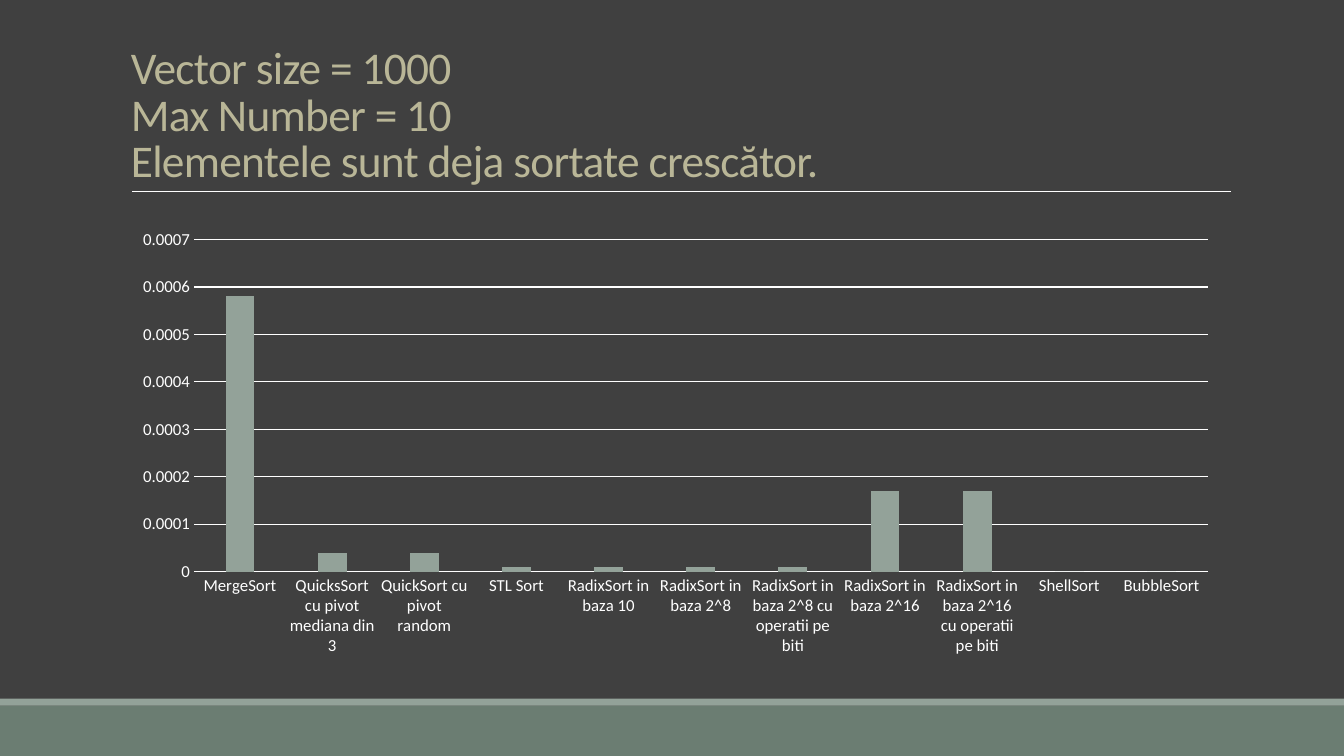
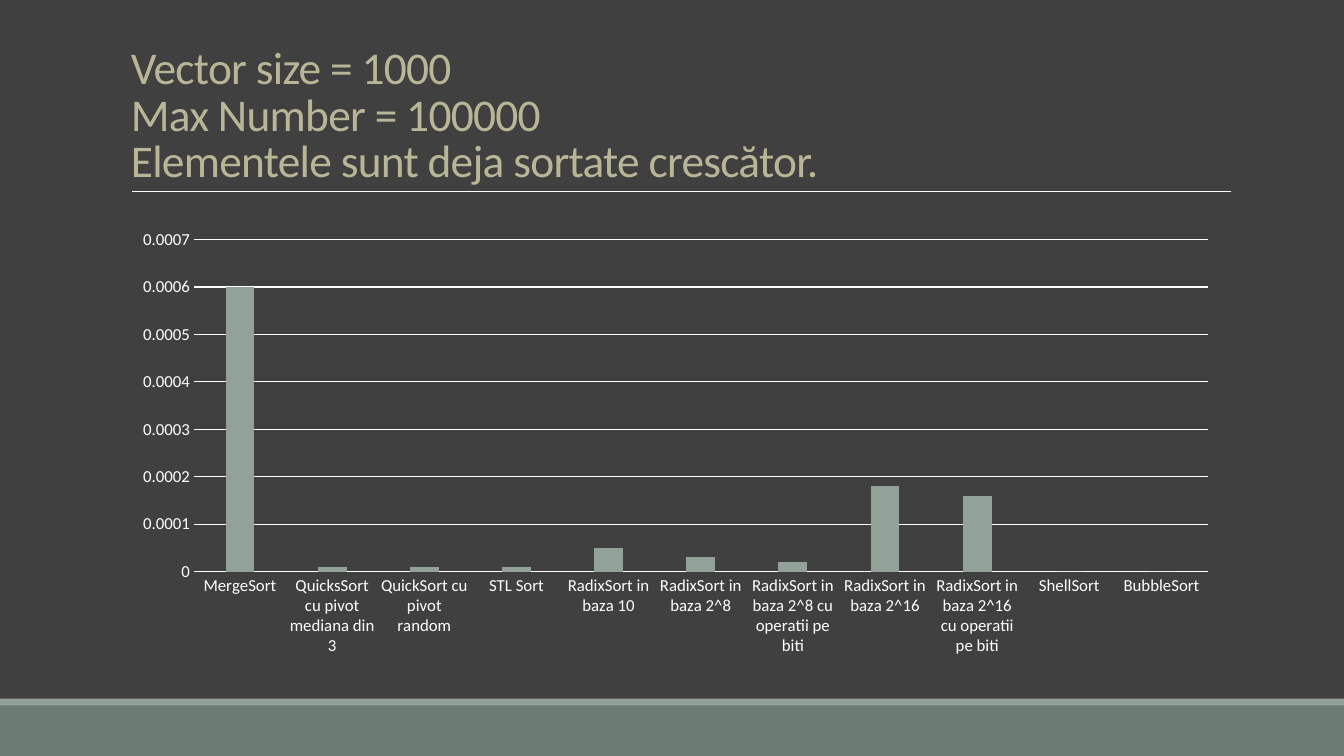
import pptx
import pptx.chart.data
import pptx.dml.color
import pptx.enum.chart
import pptx.enum.shapes
import pptx.enum.text
import pptx.oxml.ns
import pptx.util
from lxml import etree

COLORS = {
    "background": "404040",
    "footer": "6B7D72",
    "accent": "93A299",
    "title": "B9B697",
    "light": "FFFFFF",
}
FONT = "Calibri"
SLIDE_WIDTH = pptx.util.Inches(13.33)
SLIDE_HEIGHT = pptx.util.Inches(7.5)

# Horizontal and vertical positions in percent of the slide
CONTENT_LEFT, CONTENT_WIDTH = 9, 82.5
RULE_LEFT, RULE_RIGHT = 9.83, 91.6
TITLE_TOP, RULE_TOP = 4.13, 25.33
CHART_TOP, CHART_HEIGHT = 29.2, 58.67
STRIPE_TOP, FOOTER_TOP = 92.4, 93.33

ALGORITHMS = [
    "MergeSort",
    "QuicksSort cu pivot mediana din 3",
    "QuickSort cu pivot random",
    "STL Sort",
    "RadixSort in baza 10",
    "RadixSort in baza 2^8",
    "RadixSort in baza 2^8 cu operatii pe biti",
    "RadixSort in baza 2^16",
    "RadixSort in baza 2^16 cu operatii pe biti",
    "ShellSort",
    "BubbleSort",
]

# Largest number in the vector, then the time of each algorithm
BENCHMARKS = [
    (10, [0.00058, 0.00004, 0.00004, 0.00001, 0.00001, 0.00001,
          0.00001, 0.00017, 0.00017, 0, 0]),
    (100000, [0.0006, 0.00001, 0.00001, 0.00001, 0.00005, 0.00003,
              0.00002, 0.00018, 0.00016, 0, 0]),
]


def color(name):
    return pptx.dml.color.RGBColor.from_string(COLORS[name])


def across(percent):
    return round(SLIDE_WIDTH * percent / 100)


def down(percent):
    return round(SLIDE_HEIGHT * percent / 100)


def style_font(font, size, color_name):
    font.name = FONT
    font.size = pptx.util.Pt(size)
    font.color.rgb = color(color_name)


def style_line(line, width):
    line.color.rgb = color("light")
    line.width = pptx.util.Pt(width)


def add_band(slide, top, bottom, color_name):
    band = slide.shapes.add_shape(
        pptx.enum.shapes.MSO_SHAPE.RECTANGLE,
        0, down(top), SLIDE_WIDTH, down(bottom) - down(top))
    band.shadow.inherit = False
    band.fill.solid()
    band.fill.fore_color.rgb = color(color_name)
    band.line.fill.background()


def add_title_rule(slide):
    rule = slide.shapes.add_connector(
        pptx.enum.shapes.MSO_CONNECTOR.STRAIGHT,
        across(RULE_LEFT), down(RULE_TOP), across(RULE_RIGHT), down(RULE_TOP))
    style_line(rule.line, 0.5)
    etree.SubElement(rule._element.spPr, pptx.oxml.ns.qn("a:effectLst"))


def add_title(slide, text):
    title = slide.shapes.add_textbox(
        across(CONTENT_LEFT), down(TITLE_TOP),
        across(CONTENT_WIDTH), down(RULE_TOP - TITLE_TOP))
    frame = title.text_frame
    frame.word_wrap = True
    frame.vertical_anchor = pptx.enum.text.MSO_ANCHOR.BOTTOM
    paragraph = frame.paragraphs[0]
    paragraph.text = text
    paragraph.line_spacing = 0.85
    style_font(paragraph.font, 32.4, "title")
    # Letter spacing in hundredths of a point
    paragraph._p.pPr.find(pptx.oxml.ns.qn("a:defRPr")).set("spc", "-50")


def style_axes(chart):
    for axis in (chart.category_axis, chart.value_axis):
        axis.major_tick_mark = pptx.enum.chart.XL_TICK_MARK.NONE
        axis.minor_tick_mark = pptx.enum.chart.XL_TICK_MARK.NONE
        style_font(axis.tick_labels.font, 12, "light")
    style_line(chart.category_axis.format.line, 0.75)

    times = chart.value_axis
    times.minimum_scale = 0
    times.maximum_scale = 0.0007
    times.major_unit = 0.0001
    times.tick_labels.number_format = "General"
    times.tick_labels.number_format_is_linked = False
    times.format.line.fill.background()
    style_line(times.major_gridlines.format.line, 0.75)


def add_times_chart(slide, times):
    data = pptx.chart.data.CategoryChartData()
    data.categories = ALGORITHMS
    data.add_series("Series 1", times)
    chart = slide.shapes.add_chart(
        pptx.enum.chart.XL_CHART_TYPE.COLUMN_CLUSTERED,
        across(CONTENT_LEFT), down(CHART_TOP),
        across(CONTENT_WIDTH), down(CHART_HEIGHT), data).chart
    chart.has_title = False
    chart.has_legend = False
    style_font(chart.font, 10, "light")
    style_axes(chart)

    columns = chart.plots[0]
    columns.vary_by_categories = False
    columns.gap_width = 219
    columns.overlap = -27
    fill = columns.series[0].format.fill
    fill.solid()
    fill.fore_color.rgb = color("accent")


def add_benchmark_slide(deck, max_number, times):
    slide = deck.slides.add_slide(deck.slide_layouts[6])
    slide.background.fill.solid()
    slide.background.fill.fore_color.rgb = color("background")
    add_band(slide, FOOTER_TOP, 100, "footer")
    add_band(slide, STRIPE_TOP, FOOTER_TOP, "accent")
    add_title_rule(slide)
    add_title(slide, f"Vector size = 1000\vMax Number = {max_number}\v"
                     "Elementele sunt deja sortate crescător.")
    add_times_chart(slide, times)


def main():
    deck = pptx.Presentation()
    deck.slide_width = SLIDE_WIDTH
    deck.slide_height = SLIDE_HEIGHT
    for max_number, times in BENCHMARKS:
        add_benchmark_slide(deck, max_number, times)
    deck.save("out.pptx")


if __name__ == "__main__":
    main()
